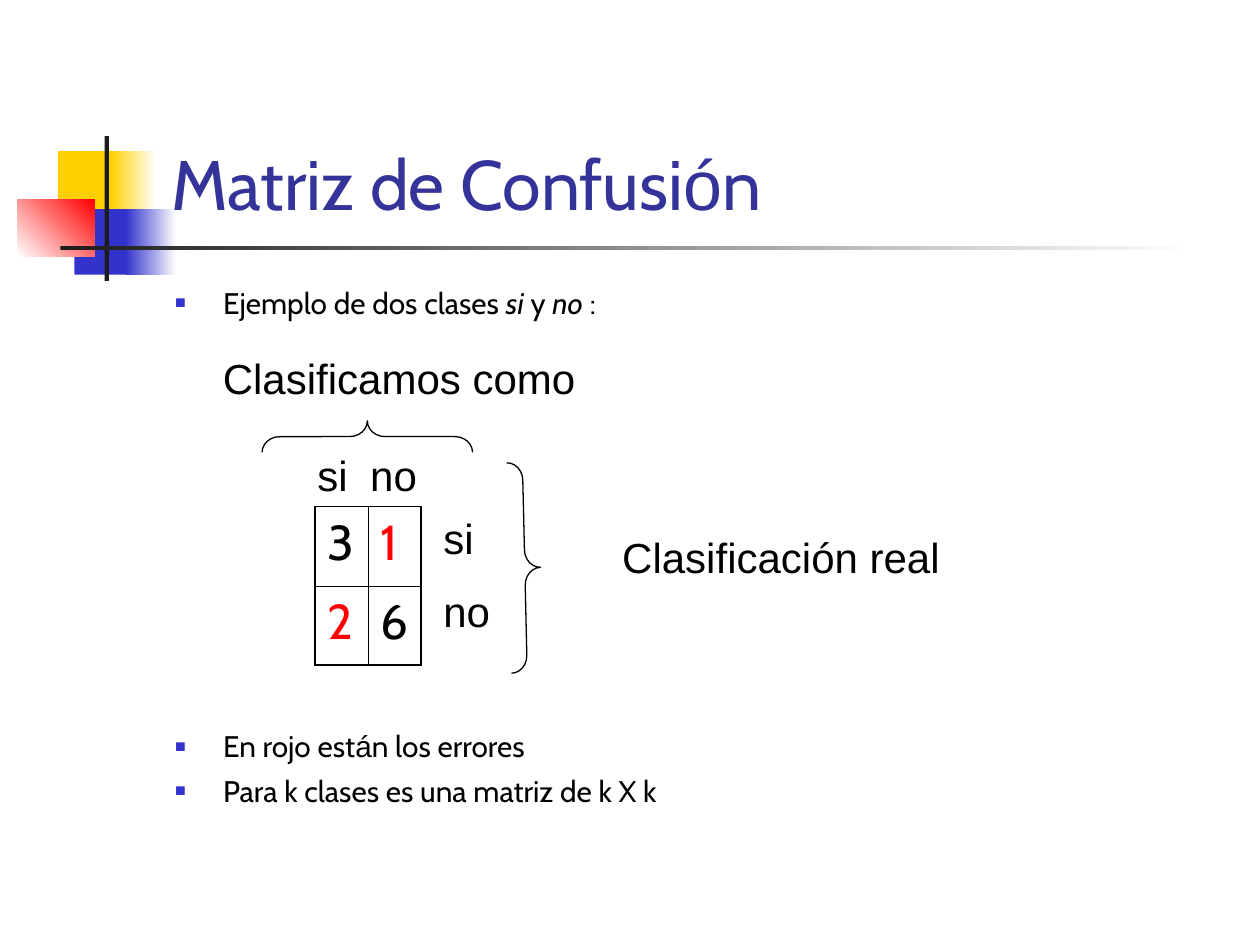
from dataclasses import dataclass

from lxml.etree import SubElement as Sub
from pptx import Presentation
from pptx.dml.color import RGBColor as RGB
from pptx.enum.shapes import MSO_SHAPE as Kind
from pptx.enum.text import MSO_ANCHOR as Anchor, MSO_AUTO_SIZE as Fit, PP_ALIGN as Align
from pptx.oxml.ns import qn
from pptx.util import Inches, Pt


@dataclass(frozen=True)
class Theme:
    """Colours, fonts and type sizes of the deck."""
    ink: str = "000000"
    paper: str = "FFFFFF"
    title: str = "333399"
    blue: str = "3333CC"
    gold: str = "FFCF01"
    red: str = "FF0000"
    bar: str = "1C1C1C"
    main: str = "Cabin"
    plain: str = "Arial"
    head: int = 40
    cell: int = 28
    label: int = 24
    body: int = 17


T = Theme()
COLS, ROWS = 100, 75
WIDE, HIGH = Inches(10), Inches(7.5)


def put(obj, **fmt):
    """Set each format value on an object."""
    for key, val in fmt.items():
        setattr(obj, key, val)


def box(x, y, w, h):
    """Turn grid columns and rows into lengths."""
    return [round(n * size / count) for n, size, count in
            ((x, WIDE, COLS), (y, HIGH, ROWS), (w, WIDE, COLS), (h, HIGH, ROWS))]


def place(shape, *spot):
    """Move and size a shape on the grid."""
    put(shape, **dict(zip(("left", "top", "width", "height"), box(*spot))))


def write(para, text, size, color=T.ink, font=T.main, italic=False):
    """Add one formatted run to a paragraph."""
    run = para.add_run()
    run.text = text
    put(run.font, size=Pt(size), name=font, italic=italic)
    run.font.color.rgb = RGB.from_string(color)


def block(slide, spot, *tints, angle=0):
    """Draw a plain or two-tint rectangle."""
    shape = slide.shapes.add_shape(Kind.RECTANGLE, *box(*spot))
    shape.shadow.inherit = False
    shape.line.fill.background()
    fill = shape.fill
    if len(tints) == 1:
        fill.solid()
        fill.fore_color.rgb = RGB.from_string(tints[0])
        return
    fill.gradient()
    fill.gradient_angle = angle
    for stop, tint in zip(fill.gradient_stops, tints):
        stop.color.rgb = RGB.from_string(tint)


def motif(slide):
    """Draw the coloured squares and rules beside the title."""
    block(slide, (4.6, 12, 4.8, 5.2), T.gold)
    block(slide, (8.8, 12, 3.6, 5.2), T.gold, T.paper)
    block(slide, (5.9, 16.6, 4.6, 5.2), T.blue)
    block(slide, (10, 16.6, 4, 5.2), T.blue, T.paper)
    block(slide, (1.4, 15.8, 6.1, 4.6), T.paper, T.red, angle=45)
    block(slide, (8.3, 10.8, 0.35, 11.5), T.bar)
    block(slide, (4.8, 19.5, 90, 0.35), T.bar, T.paper)


def heading(slide, parts):
    """Fill the title placeholder."""
    title = slide.shapes.title
    place(title, 12.6, 2.3, 85.2, 16)
    put(title.text_frame, vertical_anchor=Anchor.BOTTOM, auto_size=Fit.NONE)
    para = title.text_frame.paragraphs[0]
    para.alignment = Align.LEFT
    for text, font in parts:
        write(para, text, T.head, T.title, font)


def bullet(para):
    """Give a paragraph a small square bullet."""
    props = para._p.get_or_add_pPr()
    hang = Inches(0.38)
    props.set("marL", str(hang))
    props.set("indent", str(-hang))
    Sub(Sub(props, qn("a:buClr")), qn("a:srgbClr"), val=T.blue)
    Sub(props, qn("a:buSzPct"), val="60000")
    Sub(props, qn("a:buFont"), typeface=T.plain)
    Sub(props, qn("a:buChar"), char="■")


def points(slide, items):
    """Fill the body placeholder with bulleted lines."""
    body = slide.placeholders[1]
    place(body, 12.9, 22.1, 85, 45)
    frame = body.text_frame
    frame.auto_size = Fit.NONE
    for i, (gap, parts) in enumerate(items):
        para = frame.add_paragraph() if i else frame.paragraphs[0]
        put(para, space_before=Pt(gap), alignment=Align.LEFT)
        bullet(para)
        for text, fmt in parts:
            write(para, text, T.body, **fmt)


def edge(cell, side, width):
    """Draw one border of a table cell."""
    line = Sub(cell._tc.get_or_add_tcPr(), qn(f"a:ln{side}"), w=str(Pt(width)))
    Sub(Sub(line, qn("a:solidFill")), qn("a:srgbClr"), val=T.ink)


def matrix(slide, spot, rows):
    """Draw the confusion matrix with its errors in red."""
    size = len(rows)
    table = slide.shapes.add_table(size, size, *box(*spot)).table
    put(table, first_row=False, horz_banding=False)
    last = size - 1
    for r, row in enumerate(rows):
        for c, value in enumerate(row):
            cell = table.cell(r, c)
            outer = {"L": c == 0, "R": c == last, "T": r == 0, "B": r == last}
            for side, thick in outer.items():
                edge(cell, side, 1.08 if thick else 0.45)
            cell.fill.background()
            para = cell.text_frame.paragraphs[0]
            para.space_before = Pt(7)
            write(para, str(value), T.cell, T.ink if r == c else T.red)


def label(slide, text, *spot):
    """Add a one-line label."""
    frame = slide.shapes.add_textbox(*box(*spot)).text_frame
    put(frame, word_wrap=True, auto_size=Fit.NONE)
    write(frame.paragraphs[0], text, T.label, font=T.plain)


def brace(slide, x, y, turn):
    """Draw a turned brace."""
    shape = slide.shapes.add_shape(Kind.LEFT_BRACE, *box(x, y, 2.5, 16.7))
    shape.shadow.inherit = False
    shape.rotation = turn
    shape.adjustments[0] = 0.56
    shape.fill.background()
    shape.line.width = Pt(0.75)
    shape.line.color.rgb = RGB.from_string(T.ink)


def main():
    """Build and save the slide."""
    deck = Presentation()
    put(deck, slide_width=WIDE, slide_height=HIGH)
    slide = deck.slides.add_slide(deck.slide_layouts[1])
    holders = list(slide.placeholders)
    motif(slide)
    for holder in holders:
        slide.shapes._spTree.append(holder._element)

    heading(slide, [("Matriz de Confusi", T.main), ("ó", T.plain), ("n", T.main)])
    slant, accent = {"italic": True}, {"font": T.plain}
    points(slide, [
        (5, [("Ejemplo de dos clases ", {}), ("si", slant), (" y ", {}),
             ("no", slant), (" :", {})]),
        (233, [("En rojo est", {}), ("á", accent), ("n los errores", {})]),
        (5, [("Para k clases es una matriz de k X k", {})]),
    ])

    matrix(slide, (25, 40.2, 8.4, 12.6), [[3, 1], [2, 6]])
    for text, width, x, y in (("si", 4.7, 24.2, 40.2), ("no", 6, 28.4, 46)):
        label(slide, text, x, 35.2, width, 5)
        label(slide, text, 34.2, y, width, 5)
    label(slide, "Clasificamos como", 16.7, 27.5, 31, 5)
    label(slide, "Clasificación real", 48.4, 41.7, 28, 5)
    brace(slide, 27.9, 26.3, 90)
    brace(slide, 40.4, 36.7, 178.7)
    deck.save("out.pptx")


if __name__ == "__main__":
    main()
